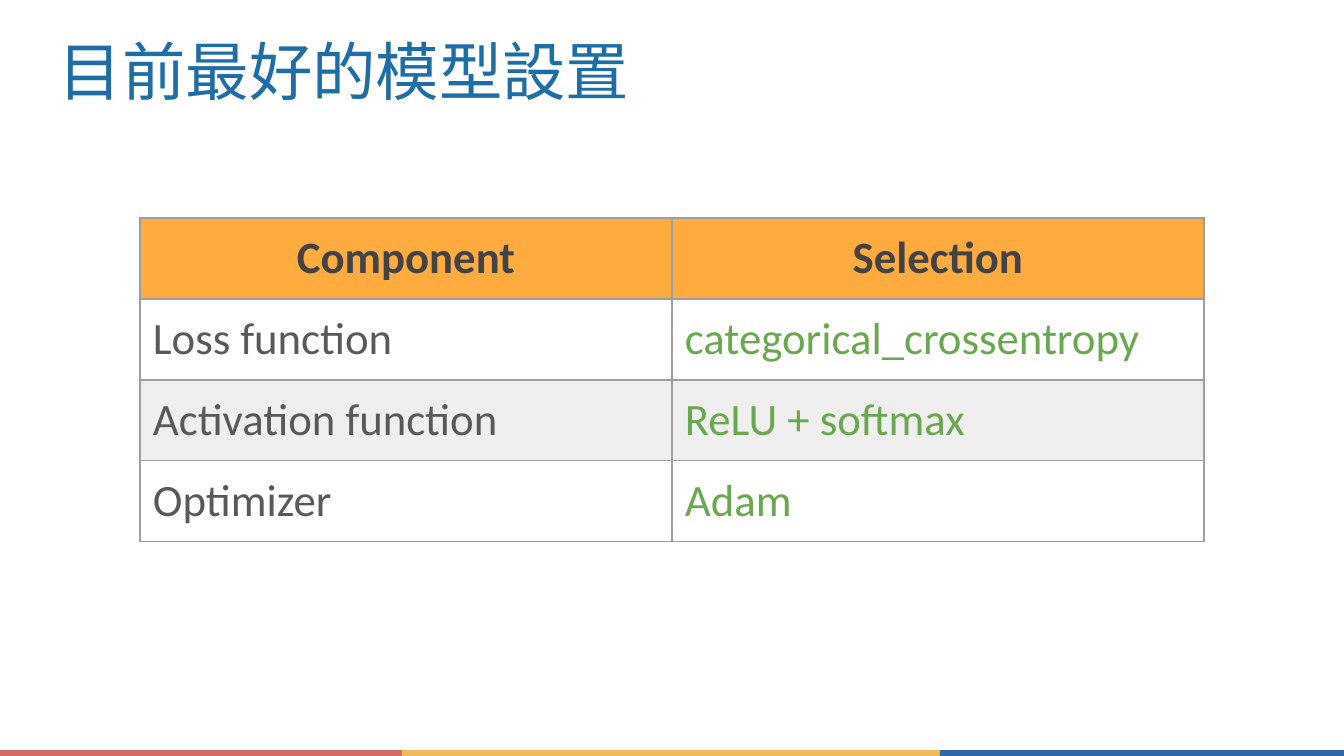
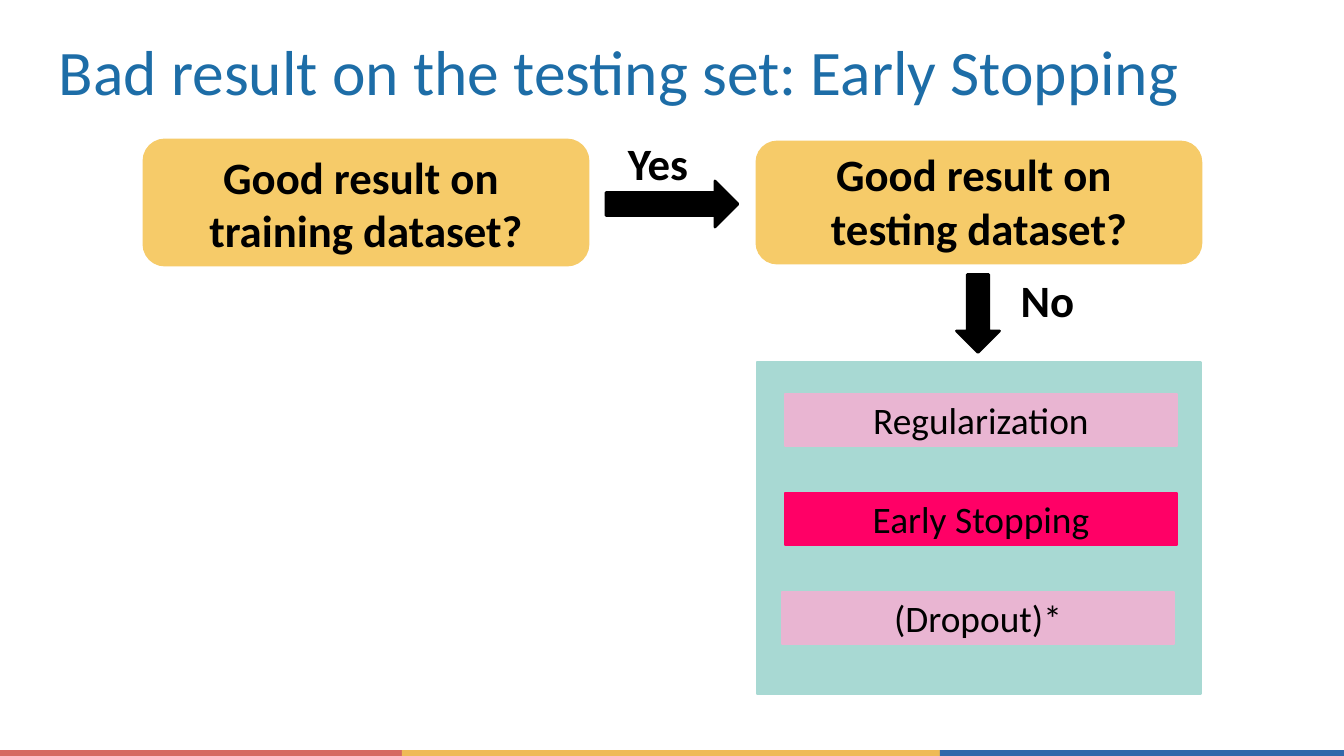
"""Build two slides: the best model settings and the early stopping decision flow."""
from dataclasses import dataclass

from lxml import etree
from pptx import Presentation
from pptx import util as u
from pptx.dml.color import RGBColor
from pptx.enum import shapes, text
from pptx.oxml.ns import qn

PX = 6804


@dataclass(frozen=True)
class Theme:
    font: str = "Calibri"
    title_size: int = 34
    body_size: int = 24
    option_size: int = 20
    title: str = "1D6DA7"
    black: str = "000000"
    header_text: str = "434343"
    label_text: str = "595959"
    choice_text: str = "6AA84F"
    header_fill: str = "FFAB40"
    stripe_fill: str = "EFEFEF"
    border: str = "9E9E9E"
    question: str = "F6CB69"
    panel: str = "A8D9D3"
    option: str = "E9B5D2"
    highlight: str = "FF0066"
    bands: tuple = ("D66962", "EFBA57", "3068AA")


theme = Theme()
SHAPE = shapes.MSO_SHAPE
LEFT, CENTER = text.PP_ALIGN.LEFT, text.PP_ALIGN.CENTER
MIDDLE = text.MSO_ANCHOR.MIDDLE


def write(frame, lines, size, color, bold=False, align=CENTER, inset=7):
    """Fill a text frame with one paragraph of broken lines."""
    frame.word_wrap = True
    frame.vertical_anchor = MIDDLE
    frame.margin_left = frame.margin_right = 13 * PX
    frame.margin_top = frame.margin_bottom = inset * PX
    para = frame.paragraphs[0]
    para.alignment = align
    for number, line in enumerate(lines):
        if number:
            para.add_line_break()
        span = para.add_run()
        span.text = line
        span.font.name = theme.font
        span.font.size = u.Pt(size)
        span.font.bold = bold
        span.font.color.rgb = RGBColor.from_string(color)


def add_block(page, kind, bounds, color, outlined=True):
    """Add a flat preset shape in one colour."""
    block = page.shapes.add_shape(kind, *(length * PX for length in bounds))
    block.shadow.inherit = False
    block.fill.solid()
    block.fill.fore_color.rgb = RGBColor.from_string(color)
    if outlined:
        block.line.color.rgb = RGBColor.from_string(color)
        block.line.width = u.Pt(1.5)
    else:
        block.line.fill.background()
    return block


deck = Presentation()
deck.slide_width, deck.slide_height = 1344 * PX, 756 * PX

titles = ["目前最好的模型設置", "Bad result on the testing set: Early Stopping"]
band_edges = [0, 402, 940, 1344]
pages = []
for title in titles:
    page = deck.slides.add_slide(deck.slide_layouts[6])
    for left, right, color in zip(band_edges, band_edges[1:], theme.bands):
        add_block(page, SHAPE.RECTANGLE, (left, 750, right - left, 6), color, outlined=False)
    box = page.shapes.add_textbox(46 * PX, 27 * PX, 1253 * PX, 86 * PX)
    write(box.text_frame, [title], theme.title_size, theme.title, align=LEFT, inset=13)
    pages.append(page)
settings_page, flow_page = pages

settings = [
    ("Component", "Selection"),
    ("Loss function", "categorical_crossentropy"),
    ("Activation function", "ReLU + softmax"),
    ("Optimizer", "Adam"),
]
table = settings_page.shapes.add_table(
    len(settings), 2, 140 * PX, 218 * PX, 1064 * PX, 81 * len(settings) * PX
).table
table.first_row = table.horz_banding = False
row_fills = [theme.header_fill, None, theme.stripe_fill, None]
for row, (values, fill) in enumerate(zip(settings, row_fills)):
    for column, value in enumerate(values):
        cell = table.cell(row, column)
        header = row == 0
        color = theme.header_text if header else (theme.label_text, theme.choice_text)[column]
        write(cell.text_frame, [value], theme.body_size, color, header, CENTER if header else LEFT)
        cell.vertical_anchor = text.MSO_ANCHOR.TOP if header else MIDDLE
        cell.margin_left = cell.margin_right = cell.margin_top = cell.margin_bottom = 13 * PX
        properties = cell._tc.get_or_add_tcPr()
        for side in ("lnL", "lnR", "lnT", "lnB"):
            edge = etree.SubElement(properties, qn(f"a:{side}"), w=str(u.Pt(0.75)))
            paint = etree.SubElement(edge, qn("a:solidFill"))
            etree.SubElement(paint, qn("a:srgbClr"), val=theme.border)
        if fill:
            cell.fill.solid()
            cell.fill.fore_color.rgb = RGBColor.from_string(fill)
        else:
            cell.fill.background()

for bounds in ((144, 140, 444, 125), (757, 142, 444, 121)):
    add_block(flow_page, SHAPE.ROUNDED_RECTANGLE, bounds, theme.question)
for bounds, turn in (((606, 181, 132, 46), 0), ((939, 292, 78, 43), 90)):
    add_block(flow_page, SHAPE.RIGHT_ARROW, bounds, theme.black).rotation = turn

captions = [
    ((144, 141, 444, 124), ["Good result on ", "training dataset?"], CENTER),
    ((757, 140, 444, 121), ["Good result on ", "testing dataset?"], CENTER),
    ((615, 140, 95, 46), ["Yes"], LEFT),
    ((1000, 277, 95, 46), ["No"], CENTER),
]
for bounds, lines, align in captions:
    box = flow_page.shapes.add_textbox(*(length * PX for length in bounds))
    write(box.text_frame, lines, theme.body_size, theme.black, True, align)

add_block(flow_page, SHAPE.RECTANGLE, (757, 362, 444, 332), theme.panel)
options = [
    ("Regularization", 785, theme.option),
    ("Early Stopping", 785, theme.highlight),
    ("(Dropout)*", 782, theme.option),
]
for number, (label, left, color) in enumerate(options):
    bar = add_block(flow_page, SHAPE.RECTANGLE, (left, 394 + 99 * number, 392, 52), color)
    write(bar.text_frame, [label], theme.option_size, theme.black)

deck.save("out.pptx")
